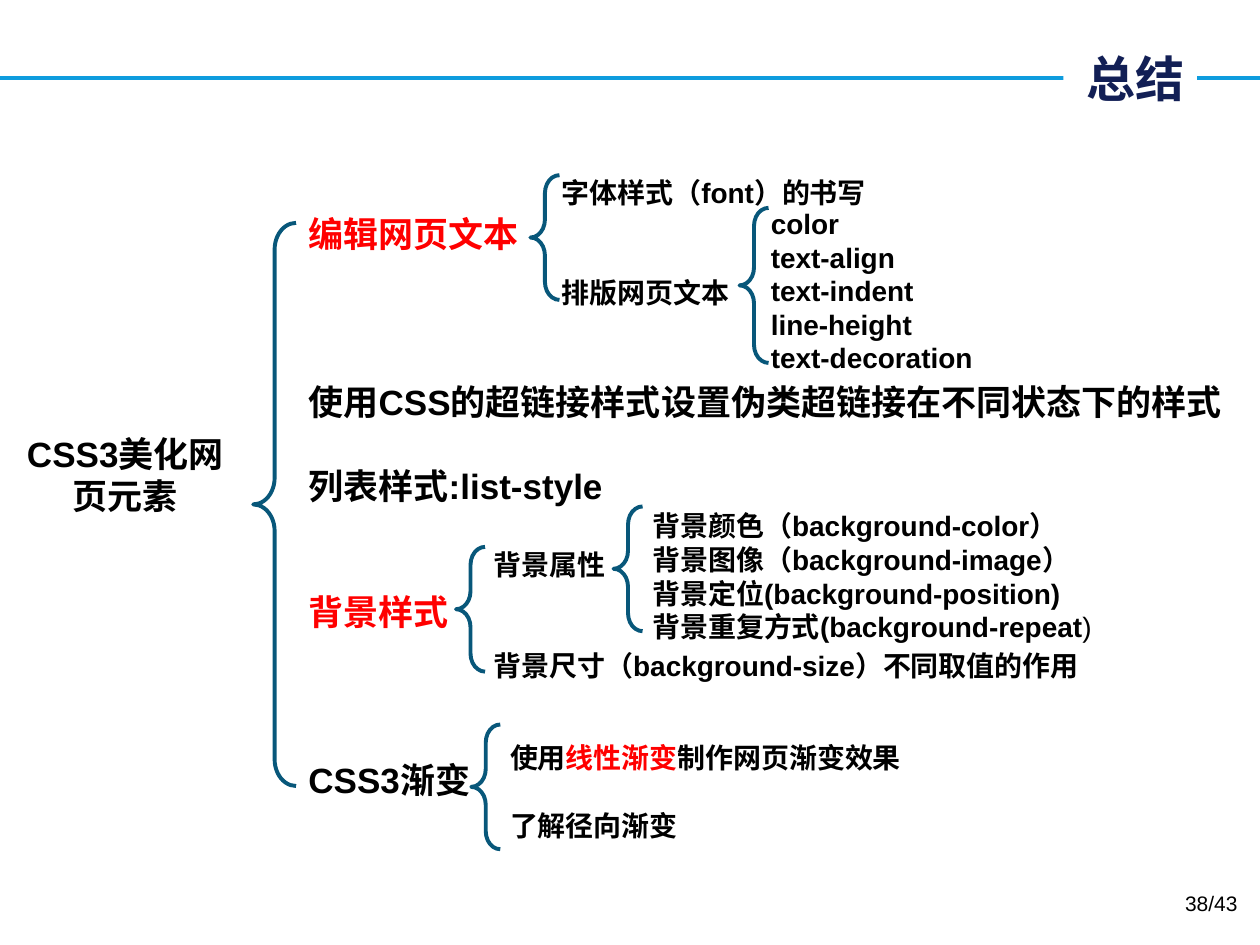
from lxml import etree
from pptx import Presentation
from pptx.dml.color import RGBColor
from pptx.enum.shapes import MSO_CONNECTOR, MSO_SHAPE
from pptx.enum.text import MSO_ANCHOR, PP_ALIGN
from pptx.oxml.ns import qn
from pptx.util import Pt

LEFT, CENTER, RIGHT = PP_ALIGN.LEFT, PP_ALIGN.CENTER, PP_ALIGN.RIGHT
TOP, MIDDLE = MSO_ANCHOR.TOP, MSO_ANCHOR.MIDDLE
RECT, BRACE = MSO_SHAPE.RECTANGLE, MSO_SHAPE.LEFT_BRACE
STRAIGHT = MSO_CONNECTOR.STRAIGHT
COLORS = {"black": "000000", "red": "FF0000", "white": "FFFFFF",
          "navy": "121F55", "sky": "0E9CDE", "teal": "08577A"}
LATIN, CJK = "Arial", "Noto Sans CJK SC"
LINE_WIDTH = 2.25
LEADING = 1.2  # line height as a multiple of the text size


class MindMap:
    def __init__(self, slide):
        self.s = slide

    def color(self, name):
        return RGBColor.from_string(COLORS[name])

    def stroke(self, line, color):
        line.color.rgb = self.color(color)
        line.width = Pt(LINE_WIDTH)

    def rule(self, x1, y1, x2, y2, color):
        ln = self.s.shapes.add_connector(STRAIGHT, Pt(x1), Pt(y1), Pt(x2), Pt(y2))
        self.stroke(ln.line, color)
        etree.SubElement(ln._element.spPr, qn("a:effectLst"))

    def brace(self, x, y, w, h):
        sp = self.s.shapes.add_shape(BRACE, Pt(x), Pt(y), Pt(w), Pt(h))
        sp.shadow.inherit = False
        sp.fill.background()
        self.stroke(sp.line, "teal")
        sp.adjustments[0] = 0.62

    def run(self, p, text, size, color="black", bold=True, font=LATIN):
        r = p.add_run()
        r.text = text
        fmt = {"name": font, "size": Pt(size), "bold": bold}
        for key, value in fmt.items():
            setattr(r.font, key, value)
        r.font.color.rgb = self.color(color)
        r.font._element.find(qn("a:latin")).addnext(
            etree.Element(qn("a:ea"), typeface=CJK))

    def text(self, box, size, paragraphs, align=LEFT):
        """Each paragraph is (lines of space before, [(text, overrides), ...])."""
        sp = self.s.shapes.add_textbox(*map(Pt, box))
        tf = sp.text_frame
        tf.word_wrap = True
        tf.vertical_anchor = TOP
        for i, (gap, runs) in enumerate(paragraphs):
            p = tf.paragraphs[0] if i == 0 else tf.add_paragraph()
            fmt = {"alignment": align, "line_spacing": Pt(size * LEADING),
                   "space_before": Pt(gap * size * LEADING)}
            for key, value in fmt.items():
                setattr(p, key, value)
            for words, style in runs:
                self.run(p, words, size, **style)

    def title(self, box, words):
        sp = self.s.shapes.add_shape(RECT, *map(Pt, box))
        sp.shadow.inherit = False
        sp.fill.solid()
        sp.fill.fore_color.rgb = self.color("white")
        sp.line.fill.background()
        tf = sp.text_frame
        tf.vertical_anchor = MIDDLE
        p = tf.paragraphs[0]
        p.alignment = RIGHT
        self.run(p, words, 28, "navy", font=CJK)


def plain(words, gap=0, **style):
    return gap, [(words, style)]


def main():
    prs = Presentation()
    prs.slide_width, prs.slide_height = Pt(720), Pt(540)
    m = MindMap(prs.slides.add_slide(prs.slide_layouts[6]))

    # Title on its rule
    m.rule(0, 44.6, 720, 44.6, "sky")
    m.title((607.7, 21.6, 76.3, 46), "总结")

    # Root and main branches
    m.text((0, 243.4, 143.3, 55.4), 20, [plain("CSS3美化网页元素")], CENTER)
    m.text((169.2, 118.1, 542.2, 346.3), 20, [
        plain("编辑网页文本", color="red"),
        plain("使用CSS的超链接样式设置伪类超链接在不同状态下的样式", 3),
        plain("列表样式:list-style", 1),
        plain("背景样式", 2, color="red"),
        plain("CSS3渐变", 3),
    ])

    # Text branch
    m.text((313.9, 96.5, 250.6, 104.4), 16, [
        plain("字体样式（font）的书写"), plain("排版网页文本", 2)])
    m.text((433.4, 114.5, 159.8, 104.4), 16, [
        plain(name) for name in
        ("color", "text-align", "text-indent", "line-height", "text-decoration")])

    # Background branch
    m.text((275, 309.6, 391, 85), 16, [
        plain("背景属性"), plain("背景尺寸（background-size）不同取值的作用", 2)])
    m.text((365.8, 287.3, 283.7, 85), 16, [
        plain("背景颜色（background-color）"),
        plain("背景图像（background-image）"),
        plain("背景定位(background-position)"),
        (0, [("背景重复方式(background-repeat", {}), (")", {"bold": False})]),
    ])

    # Gradient branch
    m.text((284.4, 419.8, 245.5, 65.5), 16, [
        (0, [("使用", {}), ("线性渐变", {"color": "red"}), ("制作网页渐变效果", {})]),
        plain("了解径向渐变", 1),
    ])

    # Braces: root, text properties, then the four of equal size
    m.brace(144.7, 127.4, 24.5, 321.8)
    m.brace(422.6, 118.8, 16.6, 88.6)
    for x, y in ((303.1, 100.1), (260.6, 312.5), (350.6, 289.4), (269.3, 414)):
        m.brace(x, y, 16.6, 71.3)

    # Page number
    m.text((546.5, 505.4, 167.8, 28.8), 12, [plain("38/43", bold=False)], RIGHT)

    prs.save("out.pptx")


if __name__ == "__main__":
    main()
